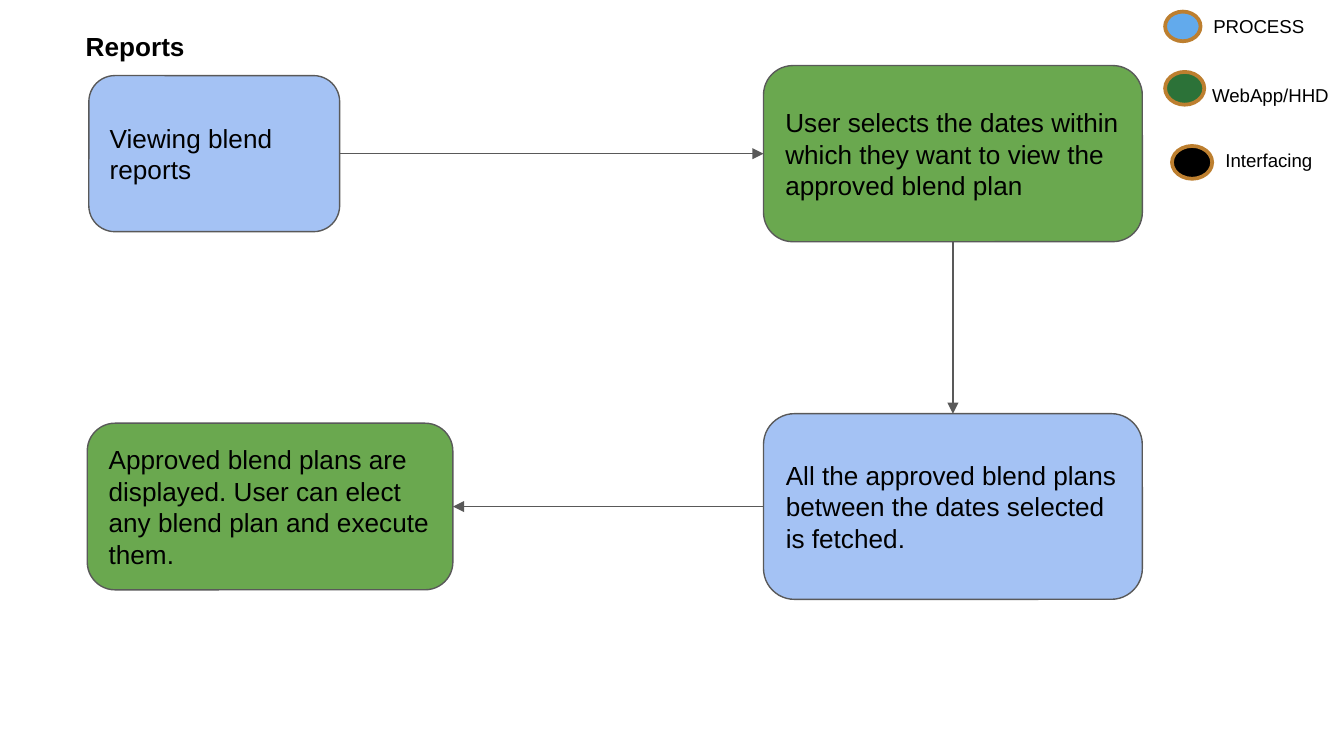
from dataclasses import dataclass

from lxml import etree
from pptx import Presentation
from pptx.dml.color import RGBColor
from pptx.enum.shapes import MSO_CONNECTOR, MSO_SHAPE
from pptx.enum.text import MSO_ANCHOR, PP_ALIGN
from pptx.oxml.ns import qn
from pptx.shapes.autoshape import Shape
from pptx.slide import Slide
from pptx.util import Cm, Pt

ROUNDED = MSO_SHAPE.ROUNDED_RECTANGLE
OVAL = MSO_SHAPE.OVAL
STRAIGHT = MSO_CONNECTOR.STRAIGHT
LEFT = PP_ALIGN.LEFT
TOP_ANCHOR = MSO_ANCHOR.TOP
MIDDLE = MSO_ANCHOR.MIDDLE

TOP, LEFT_SIDE, BOTTOM, RIGHT_SIDE = range(4)
BLUE, GREEN = "A4C2F4", "6AA84F"
GREY, BRONZE, BLACK = "595959", "BD7F2F", "000000"


@dataclass
class Area:
    left: float
    top: float
    width: float
    height: float

    def lengths(self) -> tuple[Cm, Cm, Cm, Cm]:
        return Cm(self.left), Cm(self.top), Cm(self.width), Cm(self.height)


@dataclass
class Step:
    text: str
    fill: str
    area: Area


@dataclass
class Flow:
    source: int
    source_side: int
    target: int
    target_side: int


@dataclass
class LegendEntry:
    label: str
    fill: str
    marker: Area
    label_area: Area


STEPS = [
    Step("Viewing blend reports", BLUE, Area(1.68, 1.43, 4.74, 2.95)),
    Step("User selects the dates within which they want to view the approved blend plan",
         GREEN, Area(14.43, 1.24, 7.16, 3.33)),
    Step("All the approved blend plans between the dates selected is fetched.",
         BLUE, Area(14.43, 7.82, 7.16, 3.51)),
    Step("Approved blend plans are displayed. User can elect any blend plan and execute them.",
         GREEN, Area(1.65, 8, 6.91, 3.15)),
]
FLOWS = [
    Flow(0, RIGHT_SIDE, 1, LEFT_SIDE),
    Flow(1, BOTTOM, 2, TOP),
    Flow(2, LEFT_SIDE, 3, RIGHT_SIDE),
]
LEGEND = [
    LegendEntry("PROCESS", "62AAEC", Area(22.02, 0.22, 0.67, 0.56), Area(22.68, 0.15, 2.72, 0.69)),
    LegendEntry("WebApp/HHD", "2C7238", Area(22.02, 1.36, 0.74, 0.62), Area(22.66, 1.45, 3.2, 0.69)),
    LegendEntry("Interfacing", BLACK, Area(22.15, 2.76, 0.76, 0.62), Area(22.91, 2.69, 2.26, 0.69)),
]


def color(hex_code: str) -> RGBColor:
    return RGBColor.from_string(hex_code)


def write(holder: Shape, text: str, size: float, inset: float,
          anchor: MSO_ANCHOR = TOP_ANCHOR, bold: bool = False) -> None:
    frame = holder.text_frame
    frame.text = text
    frame.word_wrap = True
    frame.vertical_anchor = anchor
    frame.margin_left = frame.margin_right = Cm(0.25)
    frame.margin_top = frame.margin_bottom = Cm(inset)
    paragraph = frame.paragraphs[0]
    paragraph.alignment = LEFT
    font = paragraph.runs[0].font
    font.name, font.size, font.bold = "Arial", Pt(size), bold
    font.color.rgb = color(BLACK)


def add_outlined(slide: Slide, kind: MSO_SHAPE, area: Area,
                 fill: str, line: str, line_width: float) -> Shape:
    shape = slide.shapes.add_shape(kind, *area.lengths())
    shape.shadow.inherit = False
    shape.fill.solid()
    shape.fill.fore_color.rgb = color(fill)
    shape.line.color.rgb = color(line)
    shape.line.width = Pt(line_width)
    return shape


def add_step(slide: Slide, step: Step) -> Shape:
    box = add_outlined(slide, ROUNDED, step.area, step.fill, GREY, 0.75)
    write(box, step.text, 14, 0.25, MIDDLE)
    return box


def add_flow(slide: Slide, flow: Flow, boxes: list[Shape]) -> None:
    arrow = slide.shapes.add_connector(STRAIGHT, 0, 0, 0, 0)
    arrow.begin_connect(boxes[flow.source], flow.source_side)
    arrow.end_connect(boxes[flow.target], flow.target_side)
    arrow.line.color.rgb = color(GREY)
    arrow.line.width = Pt(0.75)
    etree.SubElement(arrow.line._get_or_add_ln(), qn("a:tailEnd"), type="triangle")
    etree.SubElement(arrow._element.spPr, qn("a:effectLst"))


def add_label(slide: Slide, text: str, area: Area, size: float,
              inset: float, bold: bool = False) -> None:
    label = slide.shapes.add_textbox(*area.lengths())
    write(label, text, size, inset, bold=bold)


def add_legend_entry(slide: Slide, entry: LegendEntry) -> None:
    add_outlined(slide, OVAL, entry.marker, entry.fill, BRONZE, 2)
    add_label(slide, entry.label, entry.label_area, 10, 0.13)


def main() -> None:
    deck = Presentation()
    deck.slide_width, deck.slide_height = Cm(25.4), Cm(14.29)
    slide = deck.slides.add_slide(deck.slide_layouts[6])
    boxes = [add_step(slide, step) for step in STEPS]
    for flow in FLOWS:
        add_flow(slide, flow, boxes)
    add_label(slide, "Reports", Area(1.37, 0.33, 7.19, 0.86), 14, 0.25, bold=True)
    for entry in LEGEND:
        add_legend_entry(slide, entry)
    deck.save("out.pptx")


if __name__ == "__main__":
    main()
